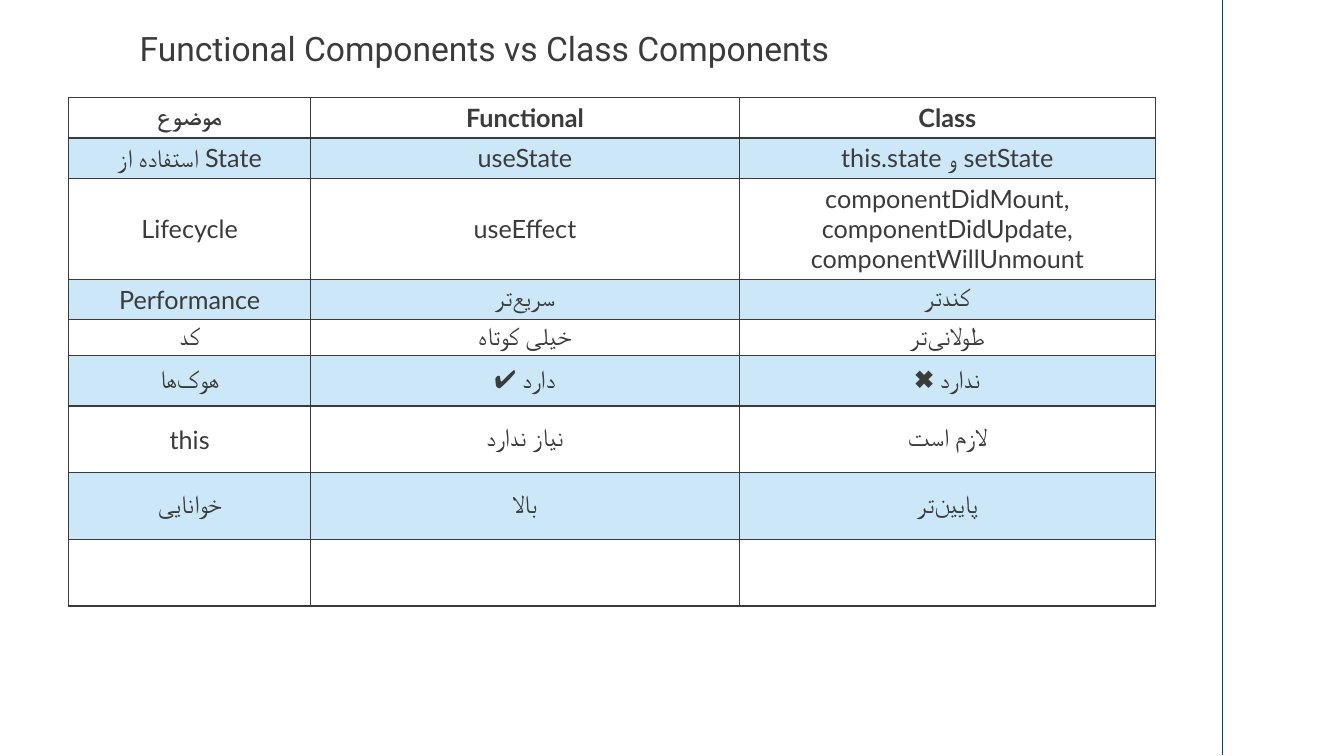
from lxml import etree
from pptx import Presentation
from pptx.dml.color import RGBColor
from pptx.enum.shapes import MSO_CONNECTOR
from pptx.enum.text import MSO_ANCHOR, PP_ALIGN
from pptx.oxml import parse_xml
from pptx.oxml.ns import nsdecls, qn
from pptx.util import Cm, Pt

STRAIGHT = MSO_CONNECTOR.STRAIGHT
MIDDLE = MSO_ANCHOR.MIDDLE
CENTER = PP_ALIGN.CENTER

INK = RGBColor(0x3B, 0x3B, 0x3B)
BAND = RGBColor(0x00, 0x8E, 0xDC)
NAVY = RGBColor(0x00, 0x47, 0x6E)
BAND_ALPHA = 20000
NON_JOINER = chr(0x200C)

TITLE = "Functional Components vs Class Components"
ROWS = [
    (0.91, ("موضوع", "Functional", "Class")),
    (0.91, ("استفاده از State", "useState", "this.state و setState")),
    (2.31, ("Lifecycle", "useEffect",
            "componentDidMount, componentDidUpdate, componentWillUnmount")),
    (0.91, ("Performance", f"سریع{NON_JOINER}تر", "کندتر")),
    (0.91, ("کد", "خیلی کوتاه", f"طولانی{NON_JOINER}تر")),
    (1.27, (f"هوک{NON_JOINER}ها", "✔ دارد", "✖ ندارد")),
    (1.68, ("this", "نیاز ندارد", "لازم است")),
    (1.68, ("خوانایی", "بالا", f"پایین{NON_JOINER}تر")),
    (1.68, ("", "", "")),
]
COLUMN_WIDTHS = (6.1, 10.8, 10.49)
LEFT = 1.73
TABLE_TOP = 2.46
TITLE_FORMAT = {"name": "Roboto", "size": Pt(24)}
HEADER_FORMAT = {"name": "Lato", "size": Pt(18), "bold": True}
BODY_FORMAT = {"name": "Lato", "size": Pt(18), "bold": False}


def write(paragraph, text, font_format):
    paragraph.text = text
    paragraph.alignment = CENTER
    for name, value in font_format.items():
        setattr(paragraph.font, name, value)
    paragraph.font.color.rgb = INK


def paint(cell, banded):
    if not banded:
        cell.fill.background()
        return
    cell.fill.solid()
    cell.fill.fore_color.rgb = BAND
    color = cell._tc.tcPr.find(".//" + qn("a:srgbClr"))
    etree.SubElement(color, qn("a:alpha"), val=str(BAND_ALPHA))


def add_borders(cell):
    for index, side in enumerate(("lnL", "lnR", "lnT", "lnB")):
        border = parse_xml(
            f'<a:{side} {nsdecls("a")} w="{Pt(1)}"><a:solidFill>'
            f'<a:srgbClr val="{INK}"/></a:solidFill></a:{side}>')
        cell._tc.tcPr.insert(index, border)


def add_comparison(slide):
    width = sum(COLUMN_WIDTHS)
    height = sum(row_height for row_height, _ in ROWS)
    table = slide.shapes.add_table(
        len(ROWS), len(COLUMN_WIDTHS), Cm(LEFT), Cm(TABLE_TOP), Cm(width), Cm(height)).table
    table.first_row = table.horz_banding = False
    for column, column_width in zip(table.columns, COLUMN_WIDTHS):
        column.width = Cm(column_width)
    for index, (row_height, texts) in enumerate(ROWS):
        table.rows[index].height = Cm(row_height)
        for cell, text in zip(table.rows[index].cells, texts):
            cell.vertical_anchor = MIDDLE
            write(cell.text_frame.paragraphs[0], text,
                  BODY_FORMAT if index else HEADER_FORMAT)
            paint(cell, index % 2 == 1)
            add_borders(cell)


def main():
    presentation = Presentation()
    presentation.slide_width = Cm(33.87)
    presentation.slide_height = Cm(19.05)
    slide = presentation.slides.add_slide(presentation.slide_layouts[6])

    side_line = slide.shapes.add_connector(
        STRAIGHT, Cm(30.81), Cm(0), Cm(30.81), Cm(19.02))
    side_line.line.color.rgb = NAVY
    side_line.line.width = Pt(0.5)
    etree.SubElement(side_line._element.spPr, qn("a:effectLst"))

    add_comparison(slide)

    title = slide.shapes.add_textbox(Cm(LEFT), Cm(0.58), Cm(20.96), Cm(2.31))
    title.text_frame.word_wrap = True
    write(title.text_frame.paragraphs[0], TITLE, TITLE_FORMAT)

    presentation.save("out.pptx")


if __name__ == "__main__":
    main()
